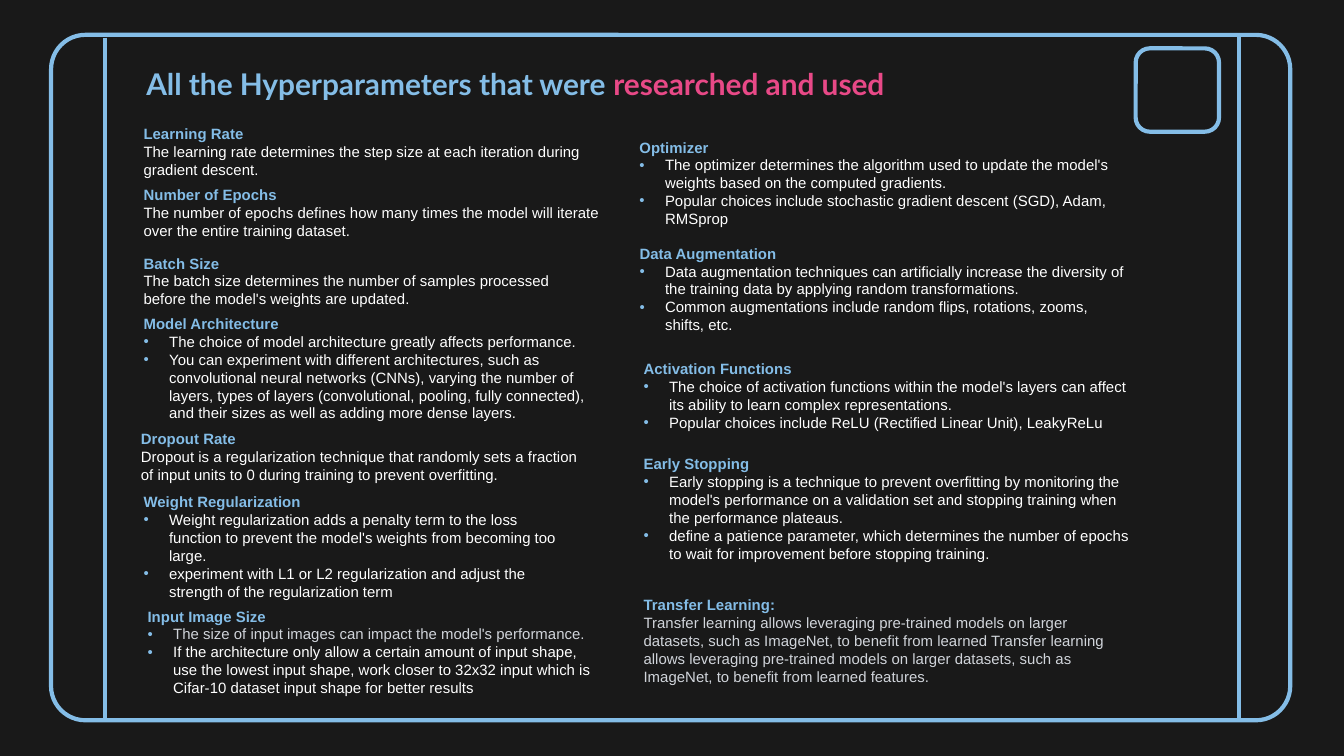
from dataclasses import dataclass

from lxml import etree
from pptx import Presentation
from pptx import util as u
from pptx.dml.color import RGBColor
from pptx.enum import shapes, text
from pptx.oxml import ns

PX = 9144  # EMU per px, 100 px to the inch
COLORS = {"bg": "191919", "blue": "84BDE7", "pink": "E84987", "white": "FFFFFF", "grey": "D1D5DB"}
INSET, INDENT = 10, 19
LINE_WIDTH = u.Pt(2.25)


@dataclass
class Box:
    x: int
    y: int
    w: int
    h: int


@dataclass
class Run:
    text: str
    color: str = "white"
    size: float = 8
    font: str = "Arial"
    bold: bool = False


@dataclass
class Topic:
    box: Box
    heading: str
    body: list[Run]
    bulleted: bool = True


@dataclass
class Frame:
    box: Box
    corner: float


@dataclass
class Rail:
    x: int
    top: int
    bottom: int


FRAMES = [Frame(Box(38, 26, 922, 510), 0.05), Frame(Box(845, 36, 62, 62), 0.17)]
RAILS = [Rail(78, 28, 536), Rail(922, 25, 537)]
TITLE_BOX = Box(99, 27, 626, 71)
TITLE = [Run("All the Hyperparameters that were ", "blue", 16, "Lato", True),
         Run("researched and used", "pink", 16, "Lato", True)]

TOPICS = [
    Topic(Box(97, 68, 363, 90), "Learning Rate", [
        Run("The learning rate determines the step size at each iteration during gradient descent.")], False),
    Topic(Box(97, 113, 363, 90), "Number of Epochs", [
        Run("The number of epochs defines how many times the model will iterate over the entire "
            "training dataset.")], False),
    Topic(Box(97, 165, 351, 88), "Batch Size", [
        Run("The batch size determines the number of samples processed before the model's weights "
            "are updated.")], False),
    Topic(Box(97, 230, 351, 88), "Model Architecture", [
        Run("The choice of model architecture greatly affects performance."),
        Run("You can experiment with different architectures, such as convolutional neural networks "
            "(CNNs), varying the number of layers, types of layers (convolutional, pooling, fully "
            "connected), and their sizes as well as adding more dense layers.")]),
    Topic(Box(95, 310, 351, 60), "Dropout Rate", [
        Run("Dropout is a regularization technique that randomly sets a fraction of input units to 0 "
            "during training to prevent overfitting.")], False),
    Topic(Box(97, 372, 337, 69), "Weight Regularization", [
        Run("Weight regularization adds a penalty term to the loss function to prevent the model's "
            "weights from becoming too large."),
        Run("experiment with L1 or L2 regularization and adjust the strength of the regularization "
            "term")]),
    Topic(Box(100, 441, 351, 88), "Input Image Size", [
        Run("The size of input images can impact the model's performance.", "grey"),
        Run("If the architecture only allow a certain amount of input shape, use the lowest input "
            "shape, work closer to 32x32 input which is Cifar-10 dataset input shape for better "
            "results")]),
    Topic(Box(466, 92, 396, 88), "Optimizer", [
        Run("The optimizer determines the algorithm used to update the model's weights based on the "
            "computed gradients."),
        Run("Popular choices include stochastic gradient descent (SGD), Adam, RMSprop")]),
    Topic(Box(466, 171, 385, 88), "Data Augmentation", [
        Run("Data augmentation techniques can artificially increase the diversity of the training "
            "data by applying random transformations."),
        Run("Common augmentations include random flips, rotations, zooms, shifts, etc.")]),
    Topic(Box(469, 251, 393, 87), "Activation Functions", [
        Run("The choice of activation functions within the model's layers can affect its ability to "
            "learn complex representations."),
        Run("Popular choices include ReLU (Rectified Linear Unit), LeakyReLu")]),
    Topic(Box(469, 335, 382, 87), "Early Stopping", [
        Run("Early stopping is a technique to prevent overfitting by monitoring the model's "
            "performance on a validation set and stopping training when the performance plateaus."),
        Run("define a patience parameter, which determines the number of epochs to wait for "
            "improvement before stopping training.")]),
    Topic(Box(469, 433, 382, 87), "Transfer Learning:", [
        Run("Transfer learning allows leveraging pre-trained models on larger datasets, such as "
            "ImageNet, to benefit from learned Transfer learning allows leveraging pre-trained "
            "models on larger datasets, such as ImageNet, to benefit from learned features.",
            "grey")], False),
]


def rgb(name: str) -> RGBColor:
    return RGBColor.from_string(COLORS[name])


def emu(box: Box) -> list[int]:
    return [v * PX for v in (box.x, box.y, box.w, box.h)]


def style_line(line) -> None:
    line.color.rgb = rgb("blue")
    line.width = LINE_WIDTH


def add_frame(s, frame: Frame) -> None:
    sp = s.shapes.add_shape(shapes.MSO_SHAPE.ROUNDED_RECTANGLE, *emu(frame.box))
    sp.adjustments[0] = frame.corner
    sp.shadow.inherit = False
    sp.fill.background()
    style_line(sp.line)


def add_rail(s, rail: Rail) -> None:
    ends = (v * PX for v in (rail.x, rail.top, rail.x, rail.bottom))
    line = s.shapes.add_connector(shapes.MSO_CONNECTOR.STRAIGHT, *ends)
    style_line(line.line)
    etree.SubElement(line._element.spPr, ns.qn("a:effectLst"))


def add_bullet(p) -> None:
    """Give the paragraph a hanging indent and a blue bullet."""
    props = p._p.get_or_add_pPr()
    props.set("marL", str(INDENT * PX))
    props.set("indent", str(-INDENT * PX))
    color = etree.SubElement(props, ns.qn("a:buClr"))
    etree.SubElement(color, ns.qn("a:srgbClr"), val=COLORS["blue"])
    etree.SubElement(props, ns.qn("a:buFont"), typeface="Arial")
    etree.SubElement(props, ns.qn("a:buChar"), char="•")


def add_run(p, run: Run) -> None:
    r = p.add_run()
    r.text = run.text
    values = {"name": run.font, "size": u.Pt(run.size), "bold": run.bold}
    for name, value in values.items():
        setattr(r.font, name, value)
    r.font.color.rgb = rgb(run.color)


def add_text_frame(s, box: Box):
    tf = s.shapes.add_textbox(*emu(box)).text_frame
    values = {"word_wrap": True, "vertical_anchor": text.MSO_ANCHOR.MIDDLE}
    values |= {f"margin_{side}": INSET * PX for side in ("left", "top", "right", "bottom")}
    for name, value in values.items():
        setattr(tf, name, value)
    return tf


def add_topic(s, topic: Topic) -> None:
    tf = add_text_frame(s, topic.box)
    add_run(tf.paragraphs[0], Run(topic.heading, "blue", bold=True))
    for run in topic.body:
        p = tf.add_paragraph()
        if topic.bulleted:
            add_bullet(p)
        add_run(p, run)


def main() -> None:
    prs = Presentation()
    prs.slide_width = 1000 * PX
    prs.slide_height = prs.slide_width * 9 // 16
    s = prs.slides.add_slide(prs.slide_layouts[6])
    s.background.fill.solid()
    s.background.fill.fore_color.rgb = rgb("bg")

    for frame in FRAMES:
        add_frame(s, frame)
    for rail in RAILS:
        add_rail(s, rail)

    title = add_text_frame(s, TITLE_BOX).paragraphs[0]
    for run in TITLE:
        add_run(title, run)
    for topic in TOPICS:
        add_topic(s, topic)

    prs.save("out.pptx")


if __name__ == "__main__":
    main()
